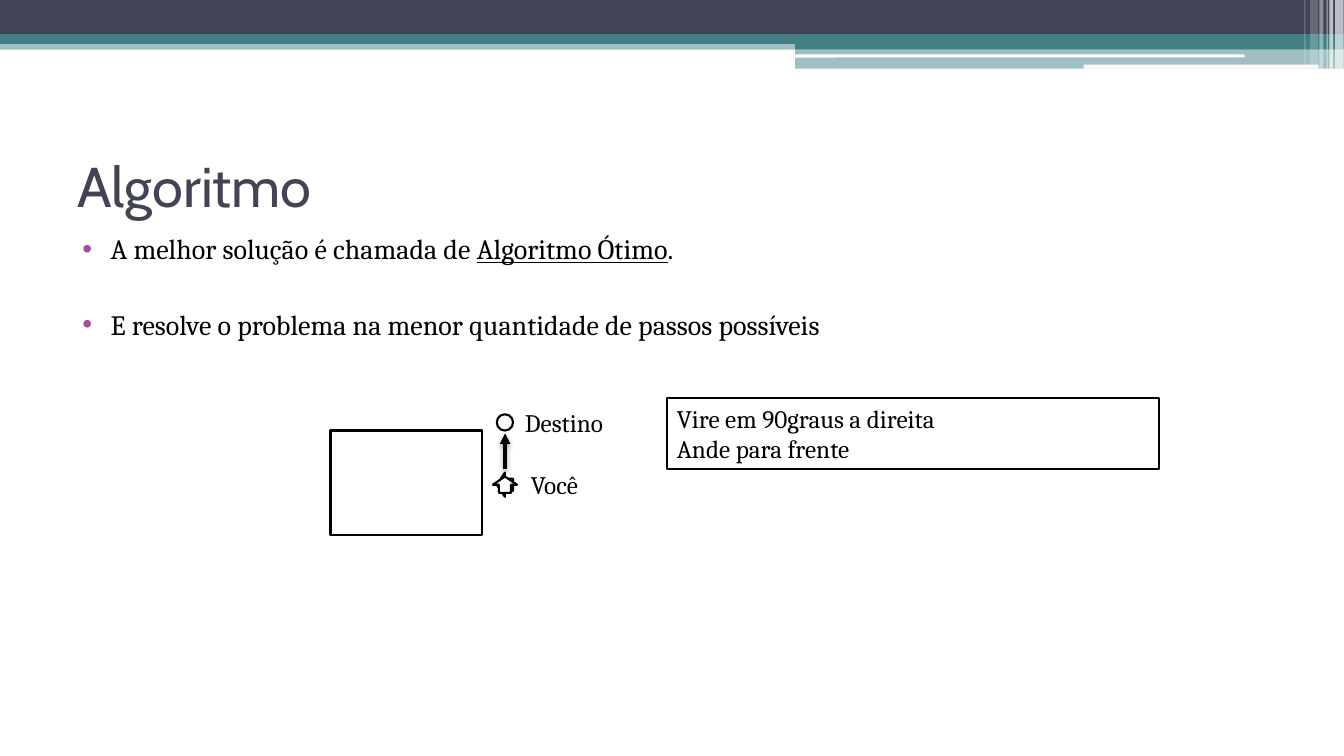
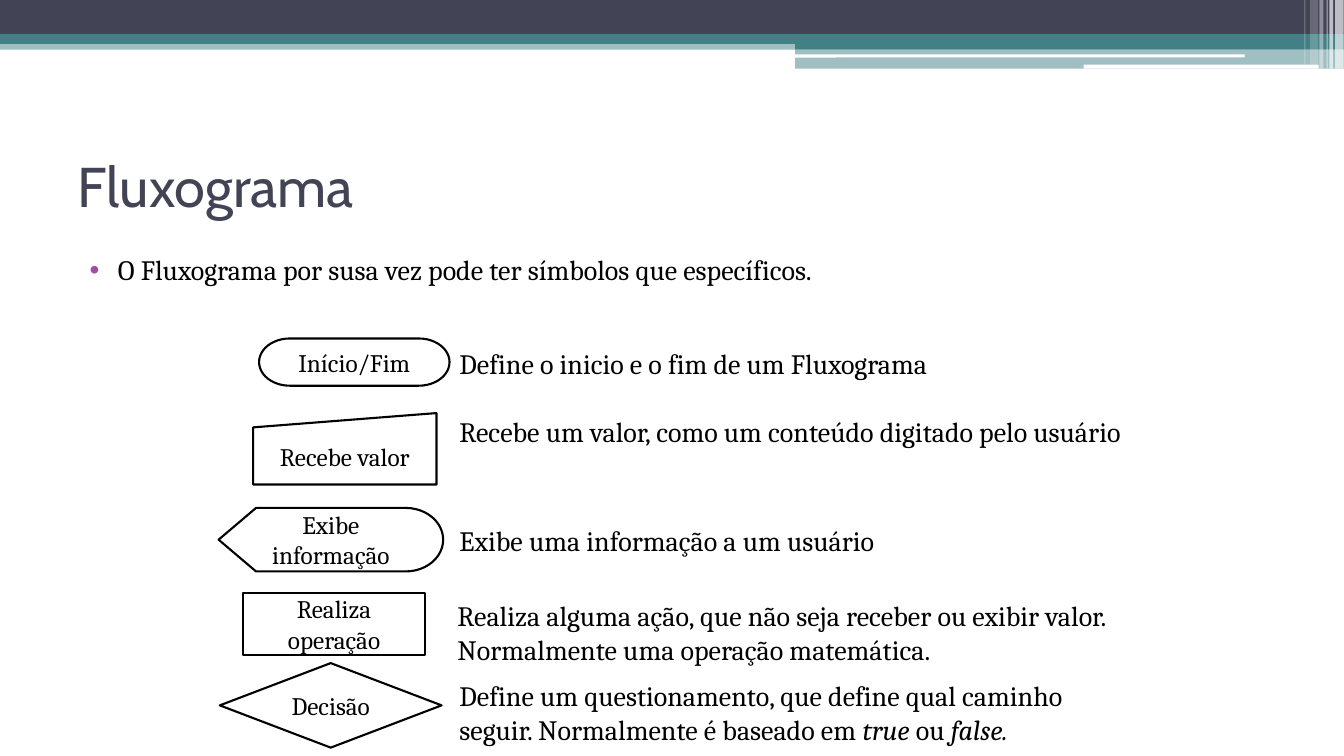
from dataclasses import dataclass
from typing import NamedTuple

from lxml.etree import SubElement as Sub
from pptx import Presentation
from pptx.dml.color import RGBColor
from pptx.enum.shapes import MSO_CONNECTOR as Link, MSO_SHAPE as Kind
from pptx.enum.text import MSO_ANCHOR as Anchor, PP_ALIGN as Align
from pptx.oxml.ns import qn
from pptx.util import Cm, Pt

NAVY = RGBColor(0x42, 0x44, 0x56)
TEAL = RGBColor(0x43, 0x80, 0x86)
PLUM = RGBColor(0xA0, 0x4D, 0xA3)
WHITE = RGBColor(0xFF, 0xFF, 0xFF)
BLACK = RGBColor(0x00, 0x00, 0x00)
HEAD, BODY = "Cabin", "Cambria"
WIDE, HIGH = 33.87, 19.05


class Box(NamedTuple):
    left: float
    top: float
    width: float
    height: float


class Span(NamedTuple):
    text: str
    under: bool = False
    slant: bool = False


@dataclass(frozen=True)
class Band:
    box: Box
    color: RGBColor
    alpha: int = 100
    kind: Kind = Kind.RECTANGLE


@dataclass(frozen=True)
class Style:
    font: str = BODY
    size: int = 20
    color: RGBColor = BLACK
    align: Align = Align.LEFT
    anchor: Anchor = Anchor.TOP


@dataclass(frozen=True)
class Step:
    kind: Kind
    box: Box
    label: str
    place: Box
    note: tuple[Span, ...]


PLAIN = Style()
SMALL = Style(size=18)
LABEL = Style(size=18, align=Align.CENTER, anchor=Anchor.MIDDLE)
TITLE = Style(HEAD, 40, NAVY, anchor=Anchor.MIDDLE)
POINT = Style(align=Align.JUSTIFY)

BANDS = (
    Band(Box(0, 1.02, WIDE, 0.23), TEAL, 50),
    Band(Box(0, 0, WIDE, 0.86), NAVY),
    Band(Box(0, 0.86, WIDE, 0.25), TEAL),
    Band(Box(20.04, 0.99, 13.83, 0.25), TEAL),
    Band(Box(20.04, 1.22, 13.83, 0.51), TEAL, 50),
    Band(Box(20.02, 1.37, 11.35, 0.08), WHITE, kind=Kind.ROUNDED_RECTANGLE),
    Band(Box(27.31, 1.63, 5.92, 0.1), WHITE, kind=Kind.ROUNDED_RECTANGLE),
    Band(Box(33.65, 0, 0.21, 1.73), WHITE, 65),
    Band(Box(33.5, 0, 0.1, 1.73), WHITE, 65),
    Band(Box(33.43, 0, 0.03, 1.73), WHITE, 60),
    Band(Box(33.25, 0, 0.1, 1.73), WHITE, 40),
    Band(Box(33.02, 0, 0.2, 1.63), WHITE, 20),
    Band(Box(32.87, 0, 0.03, 1.63), WHITE, 30),
)

STEPS = (
    Step(Kind.FLOWCHART_TERMINATOR, Box(6.53, 8.53, 4.8, 1.19), "Início/Fim",
         Box(11.33, 8.61, 13.51, 1.12),
         (Span("Define o inicio e o fim de um Fluxograma"),)),
    Step(Kind.FLOWCHART_MANUAL_INPUT, Box(6.38, 10.41, 4.62, 1.8), "Recebe valor",
         Box(11.33, 10.31, 17.88, 1.96),
         (Span("Recebe um valor, como um conteúdo digitado pelo usuário"),)),
    Step(Kind.FLOWCHART_DISPLAY, Box(5.51, 12.8, 5.66, 1.6), "Exibe informação",
         Box(11.33, 13.06, 12.07, 1.12),
         (Span("Exibe uma informação a um usuário"),)),
    Step(Kind.FLOWCHART_PROCESS, Box(6.12, 14.94, 4.6, 1.57), "Realiza operação",
         Box(11.28, 14.96, 17.09, 1.96),
         (Span("Realiza alguma ação, que não seja receber ou exibir valor. "
               "Normalmente uma operação matemática."),)),
    Step(Kind.FLOWCHART_DECISION, Box(5.54, 16.71, 5.59, 2.13), "Decisão",
         Box(11.33, 16.97, 17.09, 1.96),
         (Span("Define um questionamento, que define qual caminho seguir. "
               "Normalmente é baseado em "),
          Span("true", slant=True), Span(" ou "), Span("false.", slant=True))),
)


def scale(box: Box) -> list[Cm]:
    return [Cm(side) for side in box]


def write(shape, paras: list[tuple[Span, ...]], style: Style) -> None:
    frame = shape.text_frame
    frame.word_wrap = True
    frame.vertical_anchor = style.anchor
    for rank, spans in enumerate(paras):
        para = frame.add_paragraph() if rank else frame.paragraphs[0]
        para.alignment = style.align
        font = para.font
        font.name, font.size = style.font, Pt(style.size)
        font.color.rgb = style.color
        for span in spans:
            run = para.add_run()
            run.text = span.text
            if span.under:
                run.font.underline = True
            if span.slant:
                run.font.italic = True


def add_text(slide, box: Box, paras: list[tuple[Span, ...]], style: Style = PLAIN):
    shape = slide.shapes.add_textbox(*scale(box))
    write(shape, paras, style)
    return shape


def add_form(slide, kind: Kind, box: Box, color: RGBColor = WHITE):
    shape = slide.shapes.add_shape(kind, *scale(box))
    shape.shadow.inherit = False
    shape.fill.solid()
    shape.fill.fore_color.rgb = color
    shape.line.color.rgb = BLACK
    shape.line.width = Pt(1.5)
    return shape


def add_band(slide, band: Band) -> None:
    shape = add_form(slide, band.kind, band.box, band.color)
    shape.line.fill.background()
    if band.alpha < 100:
        tint = shape.fill._xPr.find(qn("a:solidFill"))[0]
        Sub(tint, qn("a:alpha"), val=str(band.alpha * 1000))


def add_points(slide, box: Box, paras: list[tuple[Span, ...]]) -> None:
    shape = add_text(slide, box, paras, POINT)
    for rank, para in enumerate(shape.text_frame.paragraphs):
        para.space_before = Pt(30 if rank else 3)
        props = para._p.get_or_add_pPr()
        props.set("marL", str(Cm(1.02)))
        props.set("indent", str(Cm(-0.71)))
        base = props.find(qn("a:defRPr"))
        tint = Sub(props, qn("a:buClr"))
        Sub(tint, qn("a:srgbClr"), val=str(PLUM))
        Sub(props, qn("a:buFont"), typeface="Arial")
        Sub(props, qn("a:buChar"), char="•")
        props.append(base)


def add_arrow(slide, left: float, start: float, end: float) -> None:
    line = slide.shapes.add_connector(
        Link.STRAIGHT, Cm(left), Cm(start), Cm(left), Cm(end))
    line.line.color.rgb = BLACK
    line.line.width = Pt(2.5)
    Sub(line.line._get_or_add_ln(), qn("a:tailEnd"), type="triangle")
    glow = Sub(line._element.spPr, qn("a:effectLst"))
    shade = Sub(glow, qn("a:outerShdw"), blurRad=str(Pt(4)), dist=str(Pt(2)),
                dir="5400000", rotWithShape="0")
    tint = Sub(shade, qn("a:srgbClr"), val=str(BLACK))
    Sub(tint, qn("a:alpha"), val="45000")


def add_page(deck, title: str):
    slide = deck.slides.add_slide(deck.slide_layouts[6])
    for band in BANDS:
        add_band(slide, band)
    add_text(slide, Box(1.7, 3.18, 30.48, 2.97), [(Span(title),)], TITLE)
    return slide


def draw_path(deck) -> None:
    slide = add_page(deck, "Algoritmo")
    add_points(slide, Box(1.52, 5.72, 26.47, 12.73), [
        (Span("A melhor solução é chamada de "),
         Span("Algoritmo Ótimo", under=True), Span(".")),
        (Span("E resolve o problema na menor quantidade de passos possíveis"),),
    ])
    add_form(slide, Kind.RECTANGLE, Box(8.33, 10.85, 3.81, 2.64))
    add_form(slide, Kind.OVAL, Box(12.52, 10.44, 0.41, 0.41))
    for turn in (0, 90):
        add_form(slide, Kind.LEFT_ARROW, Box(12.52, 11.91, 0.41, 0.61)).rotation = turn
    add_text(slide, Box(12.98, 10.13, 2.72, 1.02), [(Span("Destino"),)], SMALL)
    add_text(slide, Box(13.13, 11.71, 1.88, 1.02), [(Span("Você"),)], SMALL)
    note = add_form(slide, Kind.RECTANGLE, Box(16.81, 10.03, 12.4, 1.8))
    write(note, [(Span("Vire em 90graus a direita"),),
                 (Span("Ande para frente"),)], SMALL)
    add_arrow(slide, 12.73, 11.81, 10.92)


def draw_flow(deck) -> None:
    slide = add_page(deck, "Fluxograma")
    add_points(slide, Box(1.7, 6.25, 30.48, 12.01), [
        (Span("O Fluxograma por susa vez pode ter símbolos que específicos."),),
    ])
    for step in STEPS:
        write(add_form(slide, step.kind, step.box), [(Span(step.label),)], LABEL)
        add_text(slide, step.place, [step.note])


def main() -> None:
    deck = Presentation()
    deck.slide_width, deck.slide_height = Cm(WIDE), Cm(HIGH)
    draw_path(deck)
    draw_flow(deck)
    deck.save("out.pptx")


if __name__ == "__main__":
    main()
